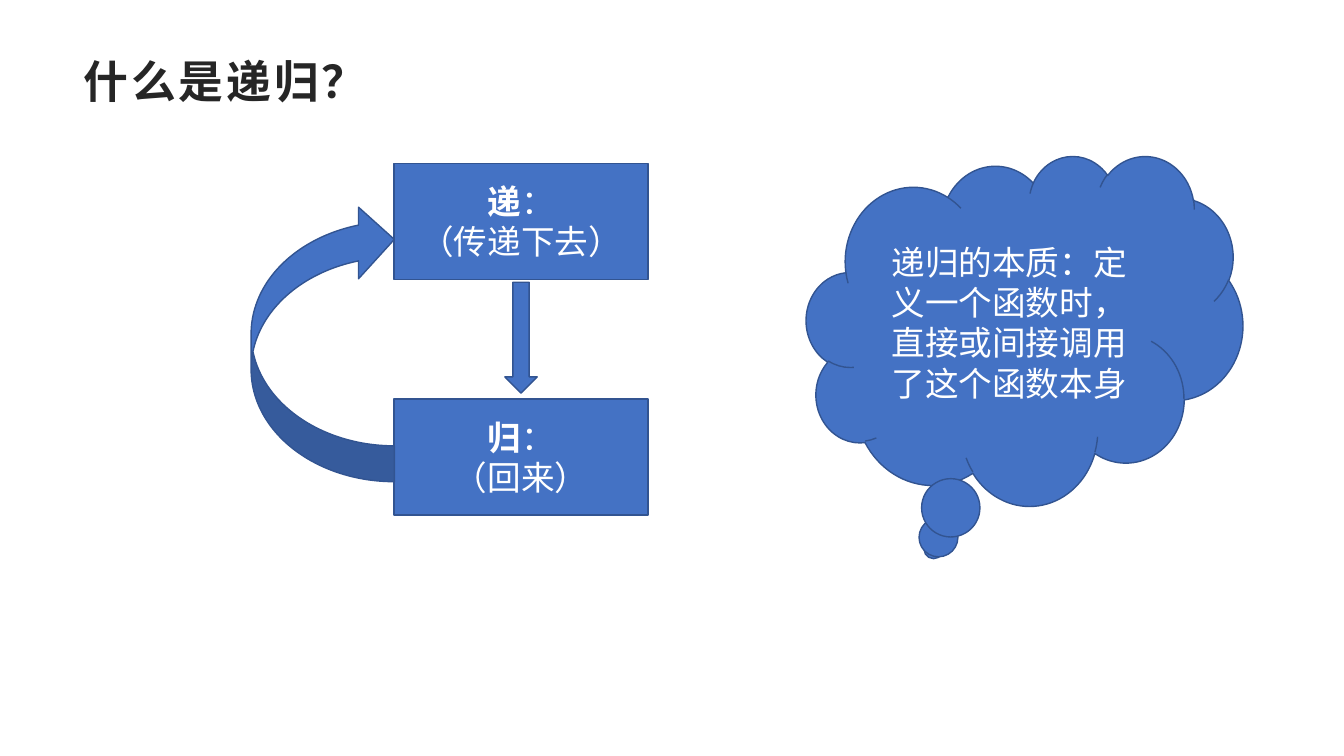
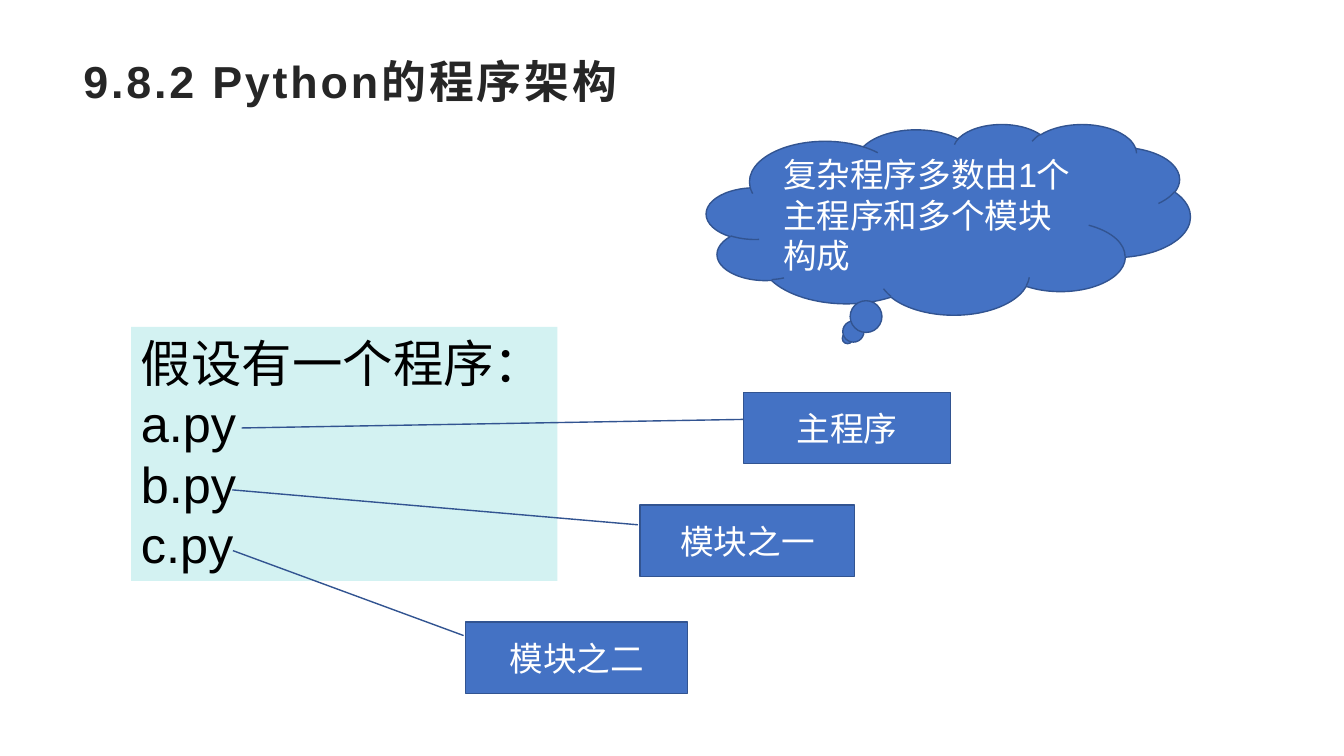
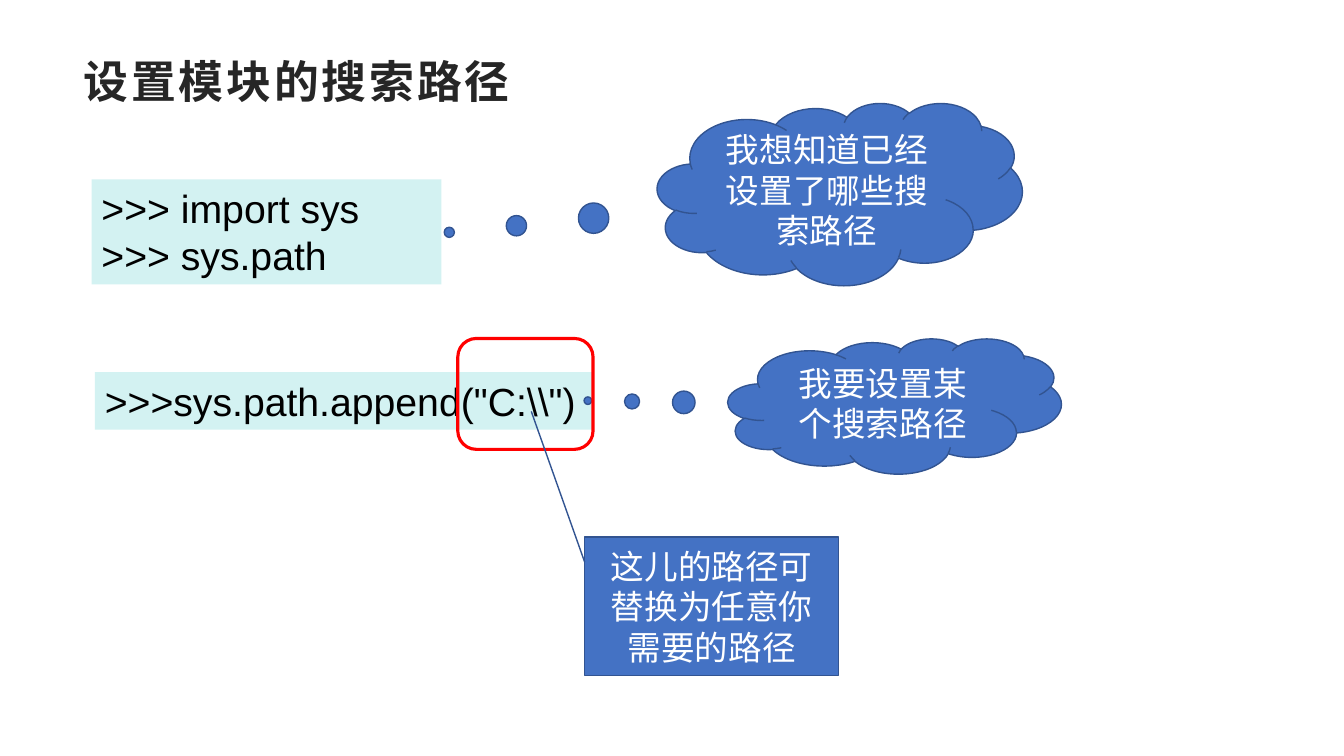
from dataclasses import dataclass
from typing import NamedTuple

from pptx import Presentation
from pptx.dml.color import RGBColor
from pptx.enum.lang import MSO_LANGUAGE_ID
from pptx.enum.shapes import MSO_SHAPE
from pptx.enum.text import MSO_ANCHOR, PP_ALIGN
from pptx.oxml.ns import qn
from pptx.util import Inches, Pt

# Shared look
WHITE = RGBColor(0xFF, 0xFF, 0xFF)
BLACK = RGBColor(0x00, 0x00, 0x00)
DARK = RGBColor(0x26, 0x26, 0x26)
BLUE = RGBColor(0x44, 0x72, 0xC4)
NAVY = RGBColor(0x32, 0x54, 0x91)
MINT = RGBColor(0xD3, 0xF2, 0xF2)
RED = RGBColor(0xFF, 0x00, 0x00)
FONT = "Arial"
LEAD = 1.2

# Grid of 32 columns by 18 rows
WIDTH, HEIGHT = Inches(13.33), Inches(7.5)
COL, ROW = WIDTH / 32, HEIGHT / 18


class Area(NamedTuple):
    """Left, top, width and height in grid cells."""
    x: float
    y: float
    w: float
    h: float

    def emu(self) -> tuple[int, int, int, int]:
        return (round(self.x * COL), round(self.y * ROW),
                round(self.w * COL), round(self.h * ROW))


class Part(NamedTuple):
    """A run of text."""
    text: str
    bold: bool = False


Lines = tuple[tuple[Part, ...], ...]


def plain(*texts: str) -> Lines:
    return tuple((Part(text),) for text in texts)


@dataclass(frozen=True)
class Style:
    size: int
    color: RGBColor
    align: PP_ALIGN = PP_ALIGN.LEFT
    anchor: MSO_ANCHOR = MSO_ANCHOR.TOP
    track: int = 0


HEAD = Style(32, DARK, track=200)
LABEL = Style(24, WHITE, PP_ALIGN.CENTER, MSO_ANCHOR.MIDDLE)
NOTE = Style(24, WHITE, PP_ALIGN.LEFT, MSO_ANCHOR.MIDDLE)
BIG = Style(36, BLACK)
CODE = Style(28, BLACK)


@dataclass(frozen=True)
class Item:
    """A preset shape with its look and text."""
    kind: MSO_SHAPE
    area: Area
    lines: Lines = ()
    style: Style = LABEL
    adjust: tuple[float, ...] = ()
    fill: RGBColor | None = BLUE
    line: RGBColor | None = NAVY
    weight: float = 1
    flip: bool = False


def write(frame, lines: Lines, style: Style) -> None:
    frame.word_wrap = True
    frame.vertical_anchor = style.anchor
    for i, parts in enumerate(lines):
        para = frame.add_paragraph() if i else frame.paragraphs[0]
        para.alignment = style.align
        para.line_spacing = Pt(style.size * LEAD)
        for part in parts:
            run = para.add_run()
            run.text = part.text
            font = run.font
            font.name, font.size, font.bold = FONT, Pt(style.size), part.bold
            font.color.rgb = style.color
            font.language_id = MSO_LANGUAGE_ID.SIMPLIFIED_CHINESE
            props = run._r.get_or_add_rPr()
            if style.track:
                props.set("spc", str(style.track))
            # East Asian face follows the Latin one
            face = props.makeelement(qn("a:ea"), {"typeface": FONT})
            props.find(qn("a:latin")).addnext(face)


def draw(slide, item: Item) -> None:
    shape = slide.shapes.add_shape(item.kind, *item.area.emu())
    shape.shadow.inherit = False
    if item.fill is None:
        shape.fill.background()
    else:
        shape.fill.solid()
        shape.fill.fore_color.rgb = item.fill
    if item.line is None:
        shape.line.fill.background()
    else:
        shape.line.color.rgb = item.line
        shape.line.width = Pt(item.weight)
    for i, value in enumerate(item.adjust):
        shape.adjustments[i] = value
    if item.flip:
        shape.element.spPr.find(qn("a:xfrm")).set("flipV", "1")
    if item.lines:
        write(shape.text_frame, item.lines, item.style)


def panel(area: Area, style: Style, *texts: str) -> Item:
    return Item(MSO_SHAPE.RECTANGLE, area, plain(*texts), style, fill=MINT, line=None)


def cloud(area: Area, text: str, adjust: tuple[float, ...] = (),
          style: Style = LABEL) -> Item:
    return Item(MSO_SHAPE.CLOUD_CALLOUT, area, plain(text), style, adjust)


def callout(area: Area, text: str, *adjust: float) -> Item:
    return Item(MSO_SHAPE.LINE_CALLOUT_1, area, plain(text), adjust=adjust)


def step(row: int, name: str, text: str) -> Item:
    lines = ((Part(name, True), Part("：")), (Part(text),))
    return Item(MSO_SHAPE.RECTANGLE, Area(9.38, 3.89 + 5.61 * row, 6.05, 2.76), lines)


# Slide content
TITLE = Area(1.75, 1.15, 28.5, 1.78)
PAGES: dict[str, list[Item]] = {
    "什么是递归？": [
        step(0, "递", "（传递下去）"),
        step(1, "归", "（回来）"),
        Item(MSO_SHAPE.CURVED_RIGHT_ARROW, Area(5.98, 4.85, 3.41, 6.62), flip=True),
        Item(MSO_SHAPE.DOWN_ARROW, Area(12.02, 6.72, 0.77, 2.64)),
        cloud(Area(19.2, 3.7, 10.39, 8.33),
              "递归的本质：定义一个函数时，直接或间接调用了这个函数本身"),
    ],
    "9.8.2 Python的程序架构": [
        cloud(Area(16.82, 2.95, 11.52, 4.54),
              "复杂程序多数由1个主程序和多个模块构成", style=NOTE),
        panel(Area(3.12, 7.78, 10.15, 6.05), BIG,
              "假设有一个程序：", "a.py", "b.py", "c.py"),
        callout(Area(17.71, 9.34, 4.92, 1.7), "主程序", 0.38, 0, 0.5, -2.43),
        callout(Area(15.24, 12.02, 5.11, 1.7), "模块之一", 0.28, -0.01, -0.21, -1.9),
        callout(Area(11.09, 14.81, 5.28, 1.7), "模块之二", 0.19, -0.01, -1, -1.05),
    ],
    "设置模块的搜索路径": [
        panel(Area(2.18, 4.27, 8.33, 2.5), CODE, ">>> import sys", ">>> sys.path"),
        cloud(Area(15.65, 2.45, 8.69, 4.34), "我想知道已经设置了哪些搜索路径",
              (-1.07, 0.21)),
        panel(Area(2.26, 8.86, 11.86, 1.37), CODE, r'>>>sys.path.append("C:\\")'),
        cloud(Area(17.33, 8.06, 7.94, 3.22), "我要设置某个搜索路径", (-0.92, -0.04)),
        Item(MSO_SHAPE.ROUNDED_RECTANGLE, Area(10.9, 8.06, 3.22, 2.64),
             fill=None, line=RED, weight=2.25),
        callout(Area(13.92, 12.79, 6.05, 3.29), "这儿的路径可替换为任意你需要的路径",
                0.18, 0, -0.91, -0.21),
    ],
}


def main() -> None:
    deck = Presentation()
    deck.slide_width, deck.slide_height = WIDTH, HEIGHT
    for title, items in PAGES.items():
        slide = deck.slides.add_slide(deck.slide_layouts[6])
        box = slide.shapes.add_textbox(*TITLE.emu())
        write(box.text_frame, ((Part(title, True),),), HEAD)
        for item in items:
            draw(slide, item)
    deck.save("out.pptx")


if __name__ == "__main__":
    main()
